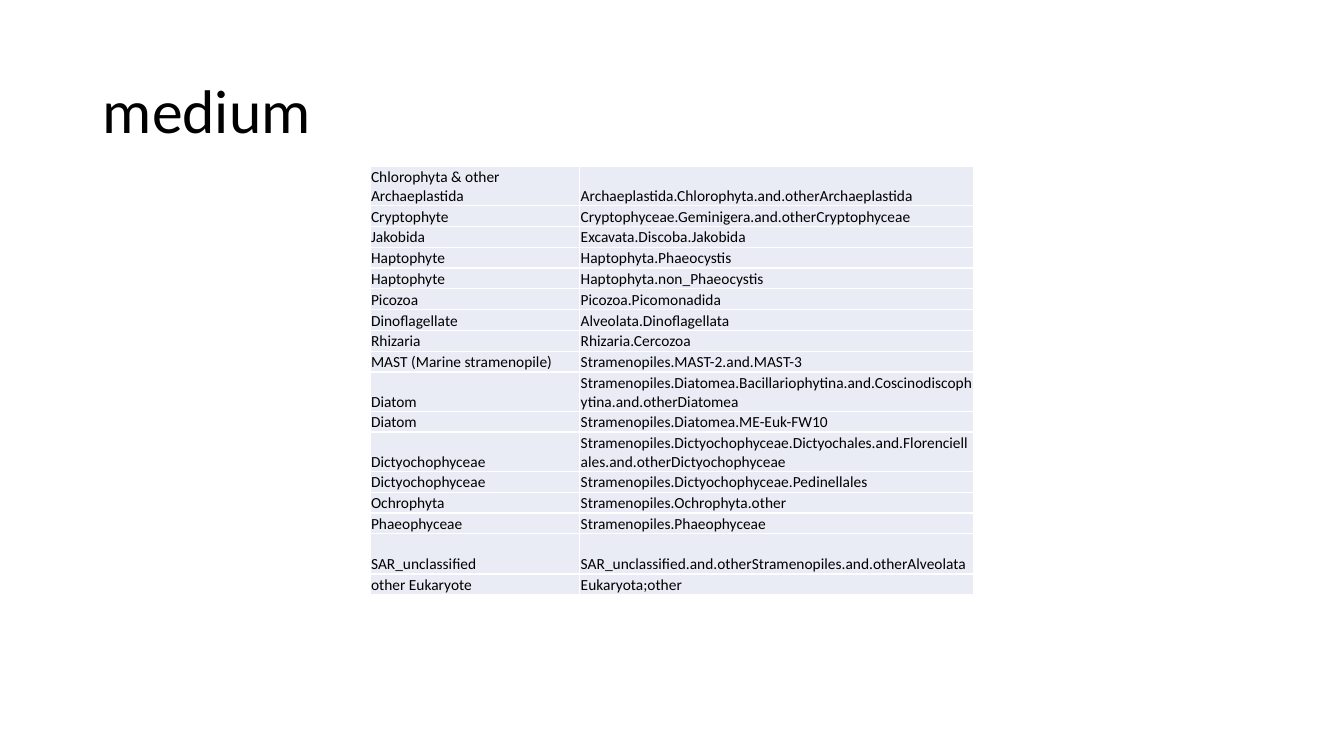
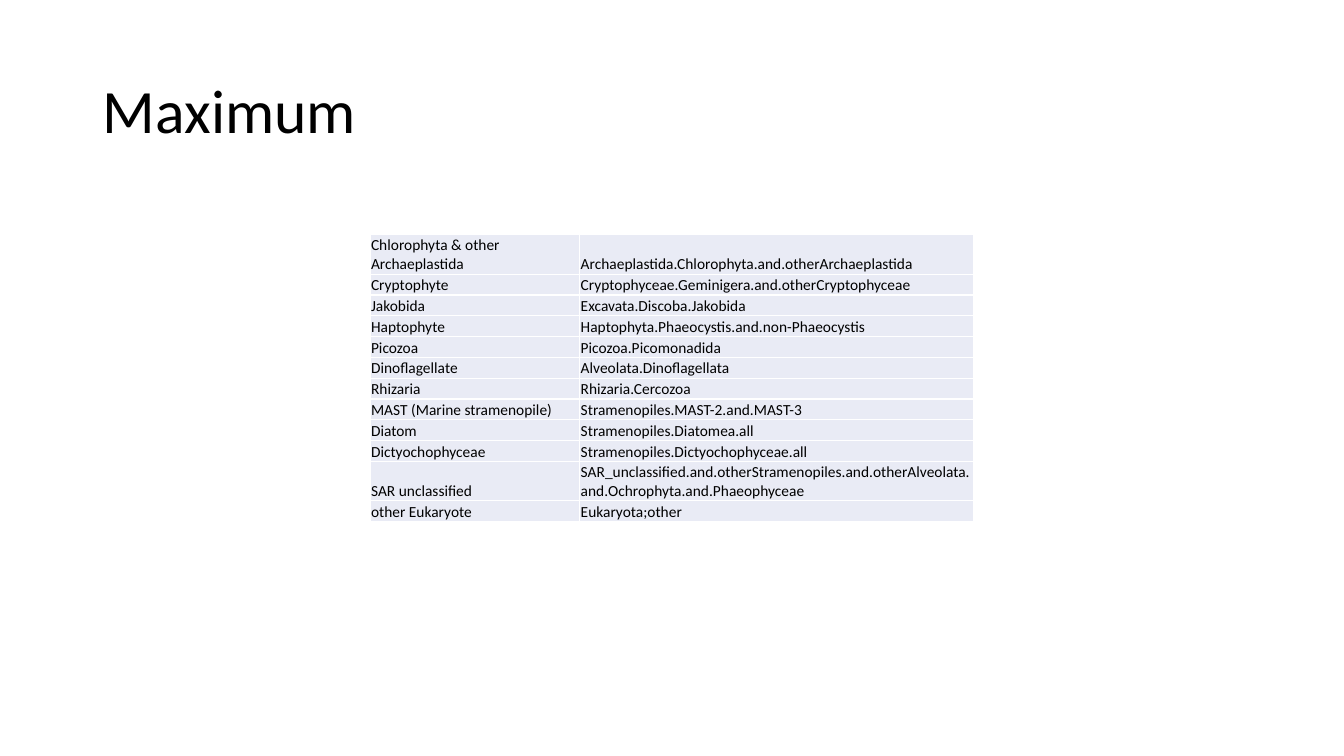
import pptx
import pptx.dml.color
import pptx.enum.text
import pptx.oxml
import pptx.oxml.ns
import pptx.util
from pptx.util import Inches

COLORS = {"text": "000000", "cell": "E9EBF5", "border": "FFFFFF"}
FONT = "Calibri"
ROW_H = 0.62 / 3  # three single-line rows take 0.62 in
WRAPPED_H = 0.39  # a row whose text takes two lines


class Deck:
    """Holds the shared style and the current slide."""

    def __init__(self):
        self.prs = pptx.Presentation()
        self.prs.slide_width = Inches(13.33)
        self.prs.slide_height = Inches(7.5)
        self.slide = None

    def add_run(self, p, text, size):
        r = p.add_run()
        r.text = text
        r.font.name = FONT
        r.font.size = pptx.util.Pt(size)
        r.font.color.rgb = pptx.dml.color.RGBColor.from_string(COLORS["text"])

    def add_slide(self, title):
        self.slide = self.prs.slides.add_slide(self.prs.slide_layouts[5])
        sp = self.slide.shapes.title
        sp.left, sp.top = Inches(0.92), Inches(0.4)
        sp.width, sp.height = Inches(11.5), Inches(1.45)
        tf = sp.text_frame
        tf.auto_size = pptx.enum.text.MSO_AUTO_SIZE.NONE
        tf.vertical_anchor = pptx.enum.text.MSO_ANCHOR.MIDDLE
        p = tf.paragraphs[0]
        p.alignment = pptx.enum.text.PP_ALIGN.LEFT
        p.line_spacing = 0.9
        self.add_run(p, title, 44)

    def add_borders(self, cell):
        tc_pr = cell._tc.get_or_add_tcPr()
        ns = pptx.oxml.ns.nsdecls("a")
        for side in "LRTB":
            tc_pr.append(pptx.oxml.parse_xml(
                f'<a:ln{side} {ns} w="12700"><a:solidFill>'
                f'<a:srgbClr val="{COLORS["border"]}"/>'
                f'</a:solidFill></a:ln{side}>'))

    def fill_cell(self, cell, text):
        cell.margin_left = cell.margin_right = cell.margin_top = Inches(0.01)
        cell.margin_bottom = 0
        cell.vertical_anchor = pptx.enum.text.MSO_ANCHOR.BOTTOM
        self.add_borders(cell)
        cell.fill.solid()
        cell.fill.fore_color.rgb = pptx.dml.color.RGBColor.from_string(COLORS["cell"])
        self.add_run(cell.text_frame.paragraphs[0], text, 11)

    def add_table(self, top, rows, tall_rows):
        """tall_rows maps a row label or its text to a height in inches."""
        widths = [2.08, 3.91]
        heights = [tall_rows.get(i, ROW_H) for i in range(len(rows))]
        table = self.slide.shapes.add_table(
            len(rows), len(widths), Inches(3.67), Inches(top),
            Inches(sum(widths)), Inches(sum(heights))).table
        table.first_row = table.horz_banding = False
        for column, width in zip(table.columns, widths):
            column.width = Inches(width)
        for row, height, texts in zip(table.rows, heights, rows):
            row.height = Inches(height)
            for cell, text in zip(row.cells, texts):
                self.fill_cell(cell, text)


# Groups that both levels of detail share
FIRST_GROUPS = [
    ("Chlorophyta & other Archaeplastida",
     "Archaeplastida.Chlorophyta.and.otherArchaeplastida"),
    ("Cryptophyte", "Cryptophyceae.Geminigera.and.otherCryptophyceae"),
    ("Jakobida", "Excavata.Discoba.Jakobida"),
]
MIDDLE_GROUPS = [
    ("Picozoa", "Picozoa.Picomonadida"),
    ("Dinoflagellate", "Alveolata.Dinoflagellata"),
    ("Rhizaria", "Rhizaria.Cercozoa"),
    ("MAST (Marine stramenopile)", "Stramenopiles.MAST-2.and.MAST-3"),
]
LAST_GROUP = [("other Eukaryote", "Eukaryota;other")]

MEDIUM = FIRST_GROUPS + [
    ("Haptophyte", "Haptophyta.Phaeocystis"),
    ("Haptophyte", "Haptophyta.non_Phaeocystis"),
] + MIDDLE_GROUPS + [
    ("Diatom", "Stramenopiles.Diatomea.Bacillariophytina.and."
     "Coscinodiscophytina.and.otherDiatomea"),
    ("Diatom", "Stramenopiles.Diatomea.ME-Euk-FW10"),
    ("Dictyochophyceae", "Stramenopiles.Dictyochophyceae.Dictyochales.and."
     "Florenciellales.and.otherDictyochophyceae"),
    ("Dictyochophyceae", "Stramenopiles.Dictyochophyceae.Pedinellales"),
    ("Ochrophyta", "Stramenopiles.Ochrophyta.other"),
    ("Phaeophyceae", "Stramenopiles.Phaeophyceae"),
    ("SAR_unclassified",
     "SAR_unclassified.and.otherStramenopiles.and.otherAlveolata"),
] + LAST_GROUP

MAXIMUM = FIRST_GROUPS + [
    ("Haptophyte", "Haptophyta.Phaeocystis.and.non-Phaeocystis"),
] + MIDDLE_GROUPS + [
    ("Diatom", "Stramenopiles.Diatomea.all"),
    ("Dictyochophyceae", "Stramenopiles.Dictyochophyceae.all"),
    ("SAR unclassified", "SAR_unclassified.and.otherStramenopiles.and."
     "otherAlveolata.and.Ochrophyta.and.Phaeophyceae"),
] + LAST_GROUP


def main():
    deck = Deck()

    # Medium grouping
    deck.add_slide("medium")
    deck.add_table(1.65, MEDIUM,
                   {0: WRAPPED_H, 9: WRAPPED_H, 11: WRAPPED_H, 15: 0.4})

    # Maximum grouping
    deck.add_slide("Maximum")
    deck.add_table(2.33, MAXIMUM, {0: WRAPPED_H, 10: WRAPPED_H})

    deck.prs.save("out.pptx")


if __name__ == "__main__":
    main()
